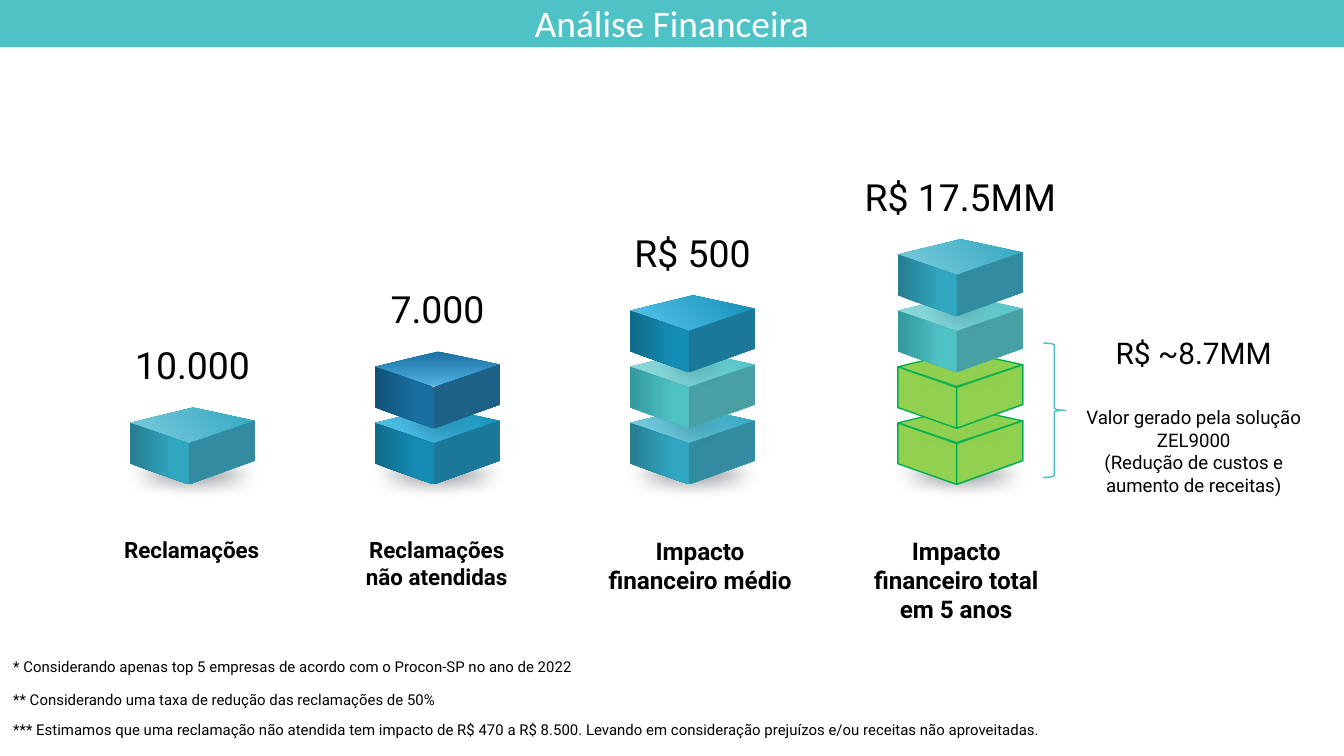
import pptx
import pptx.dml.color
import pptx.enum.shapes
import pptx.enum.text
import pptx.oxml.ns
import pptx.util
import lxml.etree

Cm, Pt = pptx.util.Cm, pptx.util.Pt
KIND = pptx.enum.shapes.MSO_SHAPE
ALIGN = pptx.enum.text.PP_ALIGN
qn = pptx.oxml.ns.qn

TOP = [(1.19, 0), (2.36, 0.25), (1.11, 0.66), (0, 0.29)]
SIDE = [(2.36, 0.25), (2.36, 1), (1.11, 1.45), (1.11, 0.68)]
FRONT = SIDE[:3] + [(0, 1.06), (0, 0.29), (1.11, 0.68)]
STEP, BASE, WIDE = 1.06, 7.7, 2.36

TEAL = ("31A7C1", "7FCDDE", "257D91", 135)
MINT = ("4FC2C6", "95DADD", "33999D", 135)
BLUE = ("148DB6", "58C7ED", "0F6A89", 135)
NAVY = ("176F9F", "53B2E6", "115377", 90)
GREEN = None

COLUMNS = [
    (2.46, [TEAL], "10.000", 4.22, "Reclamações", -0.51, 3.35, 12),
    (7.09, [BLUE, NAVY], "7.000", 2.46, "Reclamações não atendidas", -0.51, 3.35, 12),
    (11.91, [TEAL, MINT, BLUE], "R$ 500", 3.12, "Impacto financeiro médio", -0.79, 4.22, 13),
    (16.97, [GREEN, GREEN, MINT, TEAL], "R$ 17.5MM", 4.98,
     "Impacto financeiro total em 5 anos", -0.97, 4.14, 13),
]
NOTES = [
    (12.12, "* Considerando apenas top 5 empresas de acordo com o Procon-SP no ano de 2022"),
    (12.75, "** Considerando uma taxa de redução das reclamações de 50%"),
    (13.31, "*** Estimamos que uma reclamação não atendida tem impacto de R$ 470 a R$ 8.500. "
            "Levando em consideração prejuízos e/ou receitas não aproveitadas."),
]


def color(code):
    return pptx.dml.color.RGBColor.from_string(code)


def paint(shape, code, alpha=100, line=None, width=0):
    shape.shadow.inherit = False
    shape.fill.solid()
    shape.fill.fore_color.rgb = color(code)
    if alpha < 100:
        node = shape._element.spPr.find(".//" + qn("a:srgbClr"))
        lxml.etree.SubElement(node, qn("a:alpha"), val=str(alpha * 1000))
    if line:
        shape.line.color.rgb = color(line)
        shape.line.width = Pt(width)
    else:
        shape.line.fill.background()


def blend(shape, start, end, stop, angle):
    paint(shape, start)
    shape.fill.gradient()
    shape.fill.gradient_angle = (360 - angle) % 360
    for mark, code, place in zip(shape.fill.gradient_stops, (start, end), (0, stop)):
        mark.color.rgb = color(code)
        mark.position = place


def style(par, size, font="Roboto", code="000000", bold=False, align=ALIGN.CENTER):
    par.alignment = align
    for run in par.runs:
        run.font.name = font
        run.font.size = Pt(size)
        run.font.bold = bold
        run.font.color.rgb = color(code)


def text(slide, box, words, size, **look):
    frame = slide.shapes.add_textbox(*map(Cm, box)).text_frame
    frame.word_wrap = True
    frame.text = words
    for par in frame.paragraphs:
        style(par, size, **look)
    return frame


def shade(slide, box, code, alpha, line=None):
    oval = slide.shapes.add_shape(KIND.OVAL, *map(Cm, box))
    paint(oval, code, alpha, line, 2)
    glow = oval._element.spPr.find(qn("a:effectLst"))
    lxml.etree.SubElement(glow, qn("a:softEdge"), rad=str(Pt(10)))


def face(group, left, top, points):
    spots = [(Cm(left + x), Cm(top + y)) for x, y in points]
    pen = group.shapes.build_freeform(*spots[0])
    pen.add_line_segments(spots[1:], close=True)
    return pen.convert_to_shape()


def block(slide, left, top, hue):
    group = slide.shapes.add_group_shape()
    lid, front, side = [face(group, left, top, part) for part in (TOP, FRONT, SIDE)]
    if hue is GREEN:
        for part in (lid, front, side):
            paint(part, "92D050", line="00B050")
    else:
        main, light, dark, angle = hue
        blend(lid, main, light, 1, angle)
        blend(front, dark, main, 0.35, 0)
        paint(side, "353A42", 25)


def column(slide, left, hues, value, room, label, shift, width, size):
    shade(slide, (left - 0.92, BASE + 0.79, 4.22, 0.94), "353A42", 80)
    for level, hue in enumerate(hues):
        top = BASE - level * STEP
        if level:
            look = ("92D050", 100, "00B050") if hues[level - 1] is GREEN else ("000000", 30)
            shade(slide, (left - 0.11, top + 0.89, 2.59, 0.94), *look)
        block(slide, left, top, hue)
    text(slide, (left + (WIDE - room) / 2, top - 1.36, room, 1.12), value, 20)
    text(slide, (left + shift, 10, width, 1.3), label, size, bold=True)


def header(slide, box):
    title = slide.shapes.title
    title.left, title.top, title.width, title.height = map(Cm, box)
    paint(title, "4FC2C6")
    frame = title.text_frame
    frame.text = "Análise Financeira"
    frame.auto_size = pptx.enum.text.MSO_AUTO_SIZE.NONE
    frame.vertical_anchor = pptx.enum.text.MSO_ANCHOR.MIDDLE
    style(frame.paragraphs[0], 20, "Calibri", "FFFFFF")


def gain(slide, left, top):
    brace = slide.shapes.add_shape(KIND.RIGHT_BRACE, Cm(left), Cm(top), Cm(0.43), Cm(2.54))
    brace.shadow.inherit = False
    brace.fill.background()
    brace.line.color.rgb = color("4AC0C5")
    brace.line.width = Pt(0.75)
    words = ("R$ ~8.7MM\nValor gerado pela solução ZEL9000\n"
             "(Redução de custos e aumento de receitas)")
    frame = text(slide, (left + 0.36, top - 0.28, 4.98, 3.33), words, 10)
    style(frame.paragraphs[0], 16)
    frame.paragraphs[1].space_before = Pt(19)


def notes(slide, left, width):
    for top, words in NOTES:
        frame = text(slide, (left, top, width, 0.71), words, 8, align=ALIGN.LEFT)
        frame.paragraphs[0].line_spacing = 1.5


def main():
    deck = pptx.Presentation()
    deck.slide_width, deck.slide_height = Cm(25.4), Cm(14.28)
    slide = deck.slides.add_slide(deck.slide_layouts[5])
    header(slide, (0, -0.05, 25.4, 0.94))
    for data in COLUMNS:
        column(slide, *data)
    gain(slide, 19.71, 6.48)
    notes(slide, 0, 23)
    deck.save("out.pptx")


if __name__ == "__main__":
    main()
